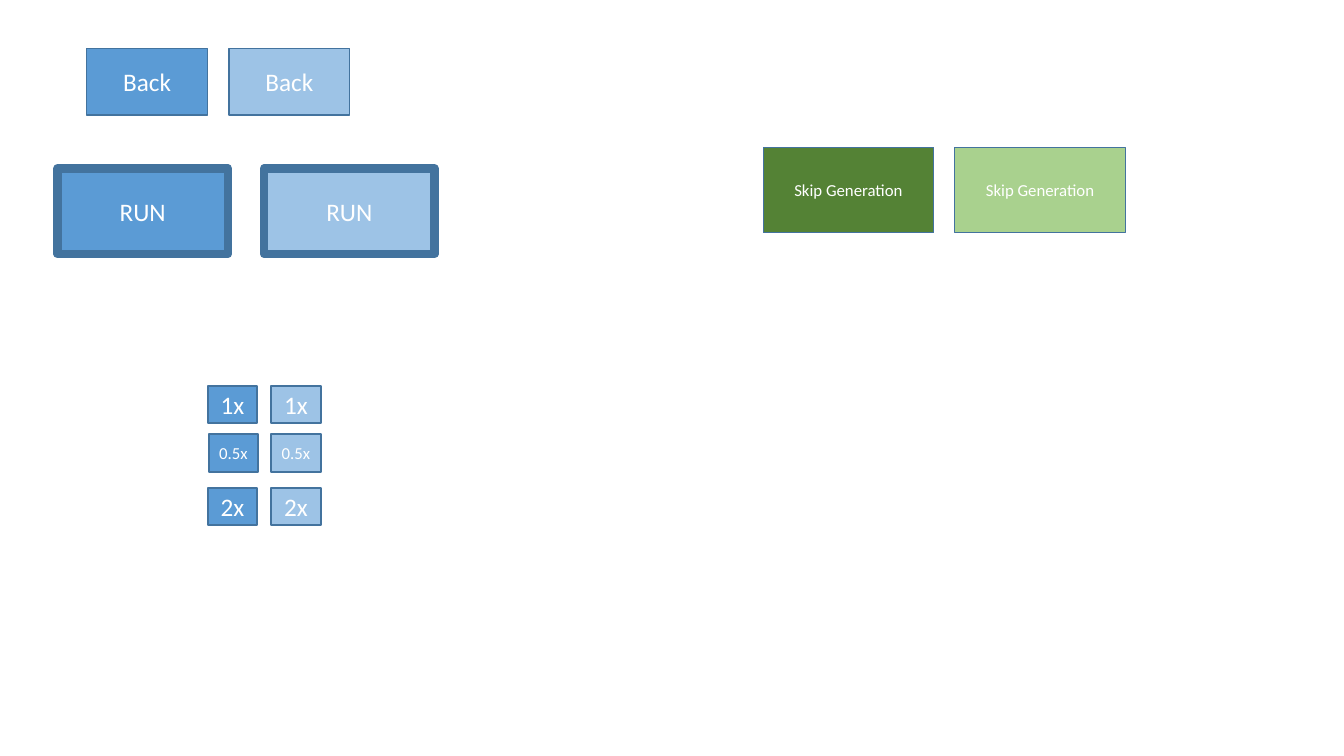
from pptx import Presentation
from pptx.dml.color import RGBColor
from pptx.enum.shapes import MSO_SHAPE
from pptx.enum.text import MSO_ANCHOR, PP_ALIGN
from pptx.util import Inches, Pt

BLUE = RGBColor(0x5B, 0x9B, 0xD5)
LIGHT_BLUE = RGBColor(0x9D, 0xC3, 0xE6)
GREEN = RGBColor(0x54, 0x82, 0x35)
LIGHT_GREEN = RGBColor(0xA9, 0xD1, 0x8E)
BORDER = RGBColor(0x43, 0x73, 0x9E)
WHITE = RGBColor(0xFF, 0xFF, 0xFF)

BLUES = (BLUE, LIGHT_BLUE)
GREENS = (GREEN, LIGHT_GREEN)


def add_button(s, text, left, top, size, fill, border, font_size):
    width, height = size
    sp = s.shapes.add_shape(MSO_SHAPE.RECTANGLE, Inches(left), Inches(top),
                            Inches(width), Inches(height))
    sp.shadow.inherit = False
    sp.fill.solid()
    sp.fill.fore_color.rgb = fill
    sp.line.color.rgb = BORDER
    sp.line.width = Pt(border)

    tf = sp.text_frame
    tf.word_wrap = True
    tf.margin_left = tf.margin_right = 0
    tf.margin_top = tf.margin_bottom = 0
    tf.vertical_anchor = MSO_ANCHOR.MIDDLE
    p = tf.paragraphs[0]
    p.text = text
    p.alignment = PP_ALIGN.CENTER
    p.font.name = "Calibri"
    p.font.size = Pt(font_size)
    p.font.color.rgb = WHITE


def add_button_pair(s, text, lefts, top, size, fills, border, font_size=18):
    """Add the normal and the pale state of a button side by side."""
    for left, fill in zip(lefts, fills):
        add_button(s, text, left, top, size, fill, border, font_size)


def main():
    prs = Presentation()
    prs.slide_width = Inches(13.33)
    prs.slide_height = Inches(7.5)
    s = prs.slides.add_slide(prs.slide_layouts[6])

    # Navigation and run buttons
    large = (1.69, 0.85)
    add_button_pair(s, "Back", (0.86, 2.27), 0.48, (1.2, 0.66), BLUES, 1)
    add_button_pair(s, "RUN", (0.57, 2.62), 1.67, large, BLUES, 6)

    # Speed buttons
    small = (0.49, 0.37)
    for text, left, top, font_size in (("1x", 2.06, 3.83, 18),
                                       ("2x", 2.06, 4.84, 18),
                                       ("0.5x", 2.07, 4.31, 12)):
        add_button_pair(s, text, (left, 2.69), top, small, BLUES, 1.5, font_size)

    # Skip buttons
    add_button_pair(s, "Skip Generation", (7.57, 9.47), 1.46, large, GREENS, 0.75, 12)

    prs.save("out.pptx")


if __name__ == "__main__":
    main()
